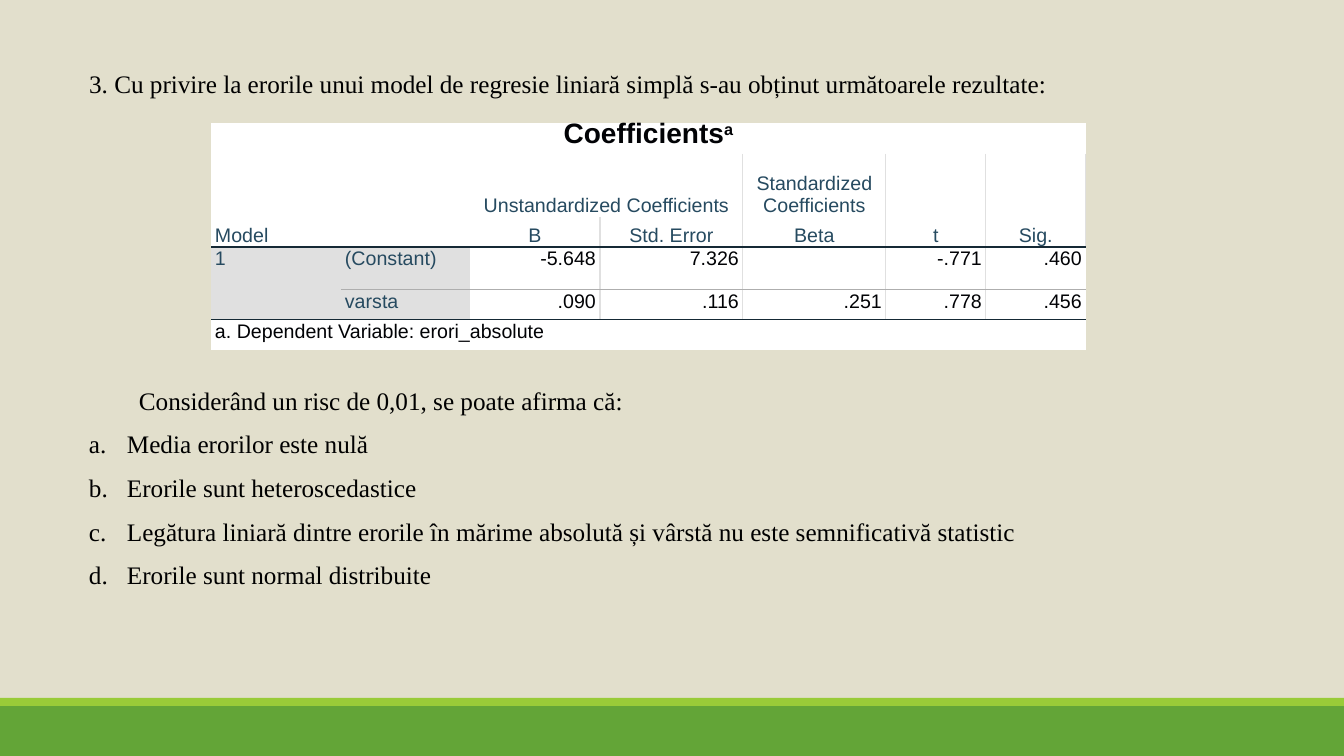
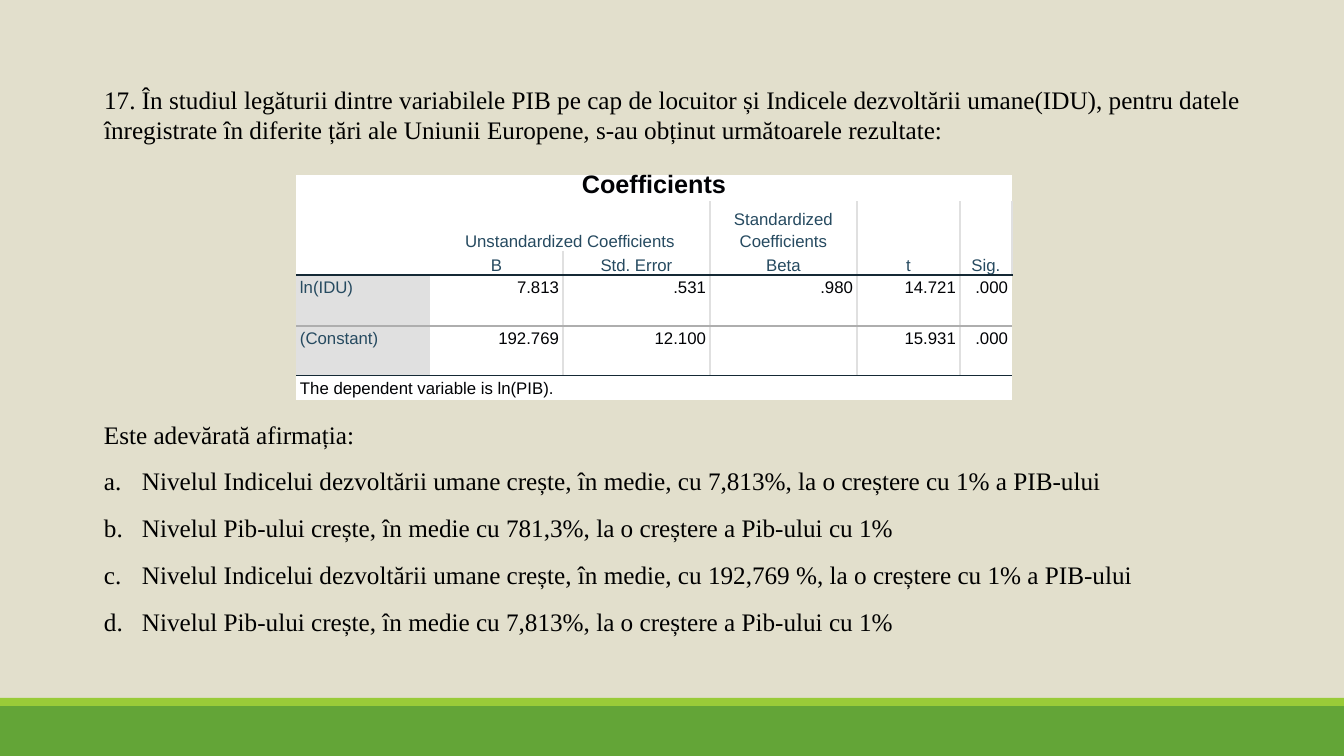
from pptx import Presentation
from pptx.dml.color import RGBColor
from pptx.enum.shapes import MSO_SHAPE
from pptx.enum.text import MSO_ANCHOR, MSO_AUTO_SIZE, PP_ALIGN
from pptx.oxml import parse_xml
from pptx.oxml.ns import nsdecls, qn
from pptx.util import Pt

RECT = MSO_SHAPE.RECTANGLE
TOP, MIDDLE, BOTTOM = MSO_ANCHOR.TOP, MSO_ANCHOR.MIDDLE, MSO_ANCHOR.BOTTOM
LEFT, CENTER, RIGHT, JUSTIFY = PP_ALIGN.LEFT, PP_ALIGN.CENTER, PP_ALIGN.RIGHT, PP_ALIGN.JUSTIFY
NO_FIT = MSO_AUTO_SIZE.NONE

PX = 914400 / 100.8
W, H = 1344, 756
SERIF, SANS = "Times New Roman", "Arial"
BACKGROUND, GREEN, LIME = "E2DFCC", "63A537", "99CB38"
BLACK, INK, BLUE, WHITE = "000000", "010205", "264A60", "FFFFFF"
DARK, GREY, PALE = "152935", "AEAEAE", "E0E0E0"
NO_STYLE = "{2D5ABB26-0587-4C30-8999-92F81FD0307C}"

SLIDES = [
    dict(
        question="3. Cu privire la erorile unui model de regresie liniară simplă s-au "
                 "obținut următoarele rezultate:",
        question_box=(79, 61, 1137, 50), question_align=LEFT, question_spacing=1.07,
        table_at=(211, 123), labels=2, sizes=(20, 14), note_mark="a",
        cols=[130, 129, 130, 143, 143, 100, 100],
        rows=[31, 63, 30, 43, 30, 30],
        cells=[
            ["Coefficients", "", "", "", "", "", ""],
            ["Model", "", "Unstandardized Coefficients", "", "Standardized Coefficients", "t", "Sig."],
            ["", "", "B", "Std. Error", "Beta", "", ""],
            ["1", "(Constant)", "-5.648", "7.326", "", "-.771", ".460"],
            ["", "varsta", ".090", ".116", ".251", ".778", ".456"],
            ["a. Dependent Variable: erori_absolute", "", "", "", "", "", ""],
        ],
        answers_box=(79, 368, 1137, 230), answers_spacing=1.4, prompt_indent=50,
        prompt="Considerând un risc de 0,01, se poate afirma că:",
        answers=[
            "Media erorilor este nulă",
            "Erorile sunt heteroscedastice",
            "Legătura liniară dintre erorile în mărime absolută și vârstă nu este "
            "semnificativă statistic",
            "Erorile sunt normal distribuite",
        ],
    ),
    dict(
        question="17. În studiul legăturii dintre variabilele PIB pe cap de locuitor și "
                 "Indicele dezvoltării umane(IDU), pentru datele înregistrate în diferite "
                 "țări ale Uniunii Europene, s-au obținut următoarele rezultate:",
        question_box=(94, 79, 1157, 75), question_align=JUSTIFY, question_spacing=1.0,
        table_at=(296, 175), labels=1, sizes=(18, 12), note_mark="",
        cols=[134, 133, 147, 147, 103, 52],
        rows=[26, 50, 24, 51, 50, 24],
        cells=[
            ["Coefficients", "", "", "", "", ""],
            ["", "Unstandardized Coefficients", "", "Standardized Coefficients", "t", "Sig."],
            ["", "B", "Std. Error", "Beta", "", ""],
            ["ln(IDU)", "7.813", ".531", ".980", "14.721", ".000"],
            ["(Constant)", "192.769", "12.100", "", "15.931", ".000"],
            ["The dependent variable is ln(PIB).", "", "", "", "", ""],
        ],
        answers_box=(94, 399, 1157, 244), answers_spacing=1.5, prompt_indent=0,
        prompt="Este adevărată afirmația:",
        answers=[
            "Nivelul Indicelui dezvoltării umane crește, în medie, cu 7,813%, la o creștere "
            "cu 1% a PIB-ului",
            "Nivelul Pib-ului crește, în medie cu 781,3%, la o creștere a Pib-ului cu 1%",
            "Nivelul Indicelui dezvoltării umane crește, în medie, cu 192,769 %, la o creștere "
            "cu 1% a PIB-ului",
            "Nivelul Pib-ului crește, în medie cu 7,813%, la o creștere a Pib-ului cu 1%",
        ],
    ),
]


def px(n):
    return round(n * PX)


def style(p, font, size, color, bold=False):
    for r in p.runs:
        r.font.name, r.font.size, r.font.bold = font, Pt(size), bold
        r.font.color.rgb = RGBColor.from_string(color)


prs = Presentation()
prs.slide_width, prs.slide_height = px(W), px(H)

# Shared background
master = prs.slide_master
master.background.fill.solid()
master.background.fill.fore_color.rgb = RGBColor.from_string(BACKGROUND)

for data in SLIDES:
    s = prs.slides.add_slide(prs.slide_layouts[5])

    # Question
    title = s.shapes.title
    title.left, title.top, title.width, title.height = map(px, data["question_box"])
    tf = title.text_frame
    tf.text = data["question"]
    tf.word_wrap, tf.auto_size, tf.vertical_anchor = True, NO_FIT, TOP
    p = tf.paragraphs[0]
    p.alignment, p.line_spacing = data["question_align"], data["question_spacing"]
    style(p, SERIF, 18, BLACK)

    # Coefficient table
    cols, rows, n = data["cols"], data["rows"], data["labels"]
    last = len(cols) - 1
    x, y = data["table_at"]
    frame = s.shapes.add_table(len(rows), len(cols), px(x), px(y), px(sum(cols)), px(sum(rows)))
    for style_id in frame.element.iter(qn("a:tableStyleId")):
        style_id.text = NO_STYLE
    table = frame.table
    table.first_row = table.horz_banding = False
    for c, width in enumerate(cols):
        table.columns[c].width = px(width)
    for r, height in enumerate(rows):
        table.rows[r].height = px(height)

    # Rules between cells, keyed by the row below or the column to the right
    across = {(r, c): DARK for r in (3, 5) for c in range(last + 1)}
    across.update({(4, c): GREY for c in range(n - 1, last + 1)})
    down = {(r, c): PALE for r in range(1, 5) for c in range(n + 1, last + 1)
            if (r, c) != (1, n + 1)}

    for r, values in enumerate(data["cells"]):
        for c, value in enumerate(values):
            cell = table.cell(r, c)
            cell.margin_left = cell.margin_right = px(4)
            cell.margin_top = cell.margin_bottom = 0
            edges = {"lnL": down.get((r, c)), "lnR": down.get((r, c + 1)),
                     "lnT": across.get((r, c)), "lnB": across.get((r + 1, c))}
            for tag, color in edges.items():
                if color:
                    cell._tc.get_or_add_tcPr().append(parse_xml(
                        f'<a:{tag} {nsdecls("a")} w="12700"><a:solidFill>'
                        f'<a:srgbClr val="{color}"/></a:solidFill></a:{tag}>'))
            is_body = r in (3, 4)
            is_label = is_body and c < n
            cell.fill.solid()
            cell.fill.fore_color.rgb = RGBColor.from_string(PALE if is_label else WHITE)
            cell.vertical_anchor = MIDDLE if r == 0 else BOTTOM if r < 3 else TOP
            p = cell.text_frame.paragraphs[0]
            p.line_spacing = Pt(16)
            if is_body and not is_label:
                p.alignment = RIGHT
            elif r == 0 or (r < 3 and c >= n):
                p.alignment = CENTER
            else:
                p.alignment = LEFT
            if value:
                p.text = value
            if r == 0 and c == 0 and data["note_mark"]:
                mark = p.add_run()
                mark.text = data["note_mark"]
                mark._r.get_or_add_rPr().set("baseline", "30000")
            style(p, SANS, data["sizes"][0 if r == 0 else 1],
                  BLUE if r in (1, 2) or is_label else INK, bold=r == 0)

    # Merged cells: title, headers, model number, footnote
    merges = [(0, 0, 0, last), (1, 0, 2, n - 1), (1, n, 1, n + 1),
              (1, last - 1, 2, last - 1), (1, last, 2, last), (5, 0, 5, last)]
    if n == 2:
        merges.append((3, 0, 4, 0))
    for r1, c1, r2, c2 in merges:
        table.cell(r1, c1).merge(table.cell(r2, c2))

    # Prompt and lettered answers
    tf = s.shapes.add_textbox(*map(px, data["answers_box"])).text_frame
    tf.word_wrap = True
    for i, text in enumerate([data["prompt"]] + data["answers"]):
        p = tf.paragraphs[0] if i == 0 else tf.add_paragraph()
        p.text = text
        p.line_spacing, p.space_after = data["answers_spacing"], Pt(1)
        pPr = p._p.get_or_add_pPr()
        if i == 0:
            pPr.set("indent", str(px(data["prompt_indent"])))
        else:
            pPr.set("marL", str(px(38)))
            pPr.set("indent", str(px(-38)))
            pPr.append(parse_xml(f'<a:buAutoNum {nsdecls("a")} type="alphaLcPeriod"/>'))
        style(p, SERIF, 18, BLACK)

# Bottom bands, drawn once and moved to the master
for i, (top, height, color) in enumerate([(706, 50, GREEN), (698, 8, LIME)]):
    band = s.shapes.add_shape(RECT, 0, px(top), px(W), px(height))
    band.shadow.inherit = False
    band.fill.solid()
    band.fill.fore_color.rgb = RGBColor.from_string(color)
    band.line.fill.background()
    band.element.nvSpPr.cNvPr.set("id", str(101 + i))
    master.shapes.element.insert(2 + i, band.element)

prs.save("out.pptx")
